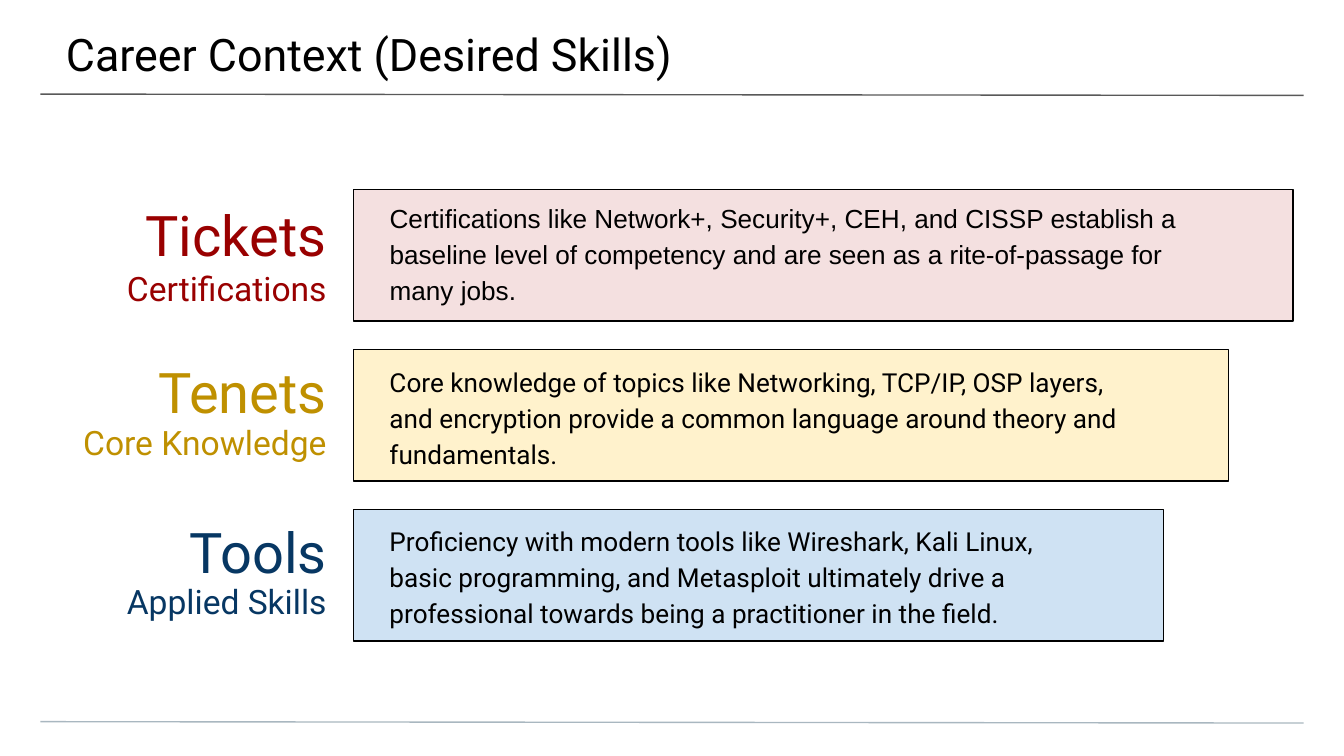
from lxml.etree import SubElement
from pptx import Presentation
from pptx.dml.color import RGBColor as RGB
from pptx.enum.shapes import MSO_CONNECTOR as Link, MSO_SHAPE as Preset
from pptx.enum.text import MSO_ANCHOR as Anchor, MSO_AUTO_SIZE as Fit, PP_ALIGN as Align
from pptx.oxml.ns import qn
from pptx.util import Pt

PX = 9144
SLIDE_WIDTH = 1000
COLORS = {
    "ink": "000000", "header_rule": "595959", "footer_rule": "A9B7C0",
    "tickets": "990000", "tickets_bar": "F4E0E0",
    "tenets": "BF9000", "tenets_bar": "FFF2CC",
    "tools": "073763", "tools_bar": "CFE2F3",
}
SKILLS = [
    dict(theme="tickets", name="Tickets", kind="Certifications", label_width=247,
         label_spacing=1.0, blurb_size=(638, 84), blurb_top=4, typeface="Arial",
         blurb="Certifications like Network+, Security+, CEH, and CISSP establish a "
               "baseline level of competency and are seen as a rite-of-passage for many jobs."),
    dict(theme="tenets", name="Tenets", kind="Core Knowledge", label_width=207,
         label_spacing=0.9, blurb_size=(586, 44), blurb_top=27, typeface="Roboto",
         blurb="Core knowledge of topics like Networking, TCP/IP, OSP layers, and encryption "
               "provide a common language around theory and fundamentals."),
    dict(theme="tools", name="Tools", kind="Applied Skills", label_width=176,
         label_spacing=0.9, blurb_size=(516, 44), blurb_top=27, typeface="Roboto",
         blurb="Proficiency with modern tools like Wireshark, Kali Linux, basic programming, and "
               "Metasploit ultimately drive a professional towards being a practitioner in the field."),
]


def emu(*lengths):
    """Turn px lengths into EMU."""
    return [length * PX for length in lengths]


def color(name):
    """Look up a named colour."""
    return RGB.from_string(COLORS[name])


def apply(target, formats):
    """Set each format value on the target."""
    for attribute, value in formats.items():
        setattr(target, attribute, value)


def style_frame(frame, anchor, insets):
    """Set wrapping, anchor and left, top, right, bottom insets."""
    left, top, right, bottom = emu(*insets)
    apply(frame, dict(word_wrap=True, auto_size=Fit.NONE, vertical_anchor=anchor,
                      margin_left=left, margin_top=top,
                      margin_right=right, margin_bottom=bottom))


def write(paragraph, words, size, ink, typeface="Roboto", align=Align.LEFT, spacing=1.0):
    """Fill one paragraph with formatted words."""
    apply(paragraph, dict(alignment=align, line_spacing=spacing))
    run = paragraph.add_run()
    run.text = words
    apply(run.font, dict(size=Pt(size), name=typeface))
    run.font.color.rgb = color(ink)


def add_copy(slide, box, lines):
    """Add a middle-anchored text box, one paragraph per line format."""
    frame = slide.shapes.add_textbox(*emu(*box)).text_frame
    style_frame(frame, Anchor.MIDDLE, (10, 5, 10, 5))
    for index, line in enumerate(lines):
        write(frame.add_paragraph() if index else frame.paragraphs[0], **line)


def add_rule(slide, top, ink):
    """Draw a thin, slightly falling rule across the slide."""
    rule = slide.shapes.add_connector(Link.STRAIGHT, *emu(30, top, 970, top + 1))
    rule.line.color.rgb = color(ink)
    rule.line.width = Pt(0.75)
    SubElement(rule.element.spPr, qn("a:effectLst"))


def add_title(slide, box, words):
    """Place the title placeholder in its box."""
    title = slide.shapes.title
    apply(title, dict(zip(("left", "top", "width", "height"), emu(*box))))
    style_frame(title.text_frame, Anchor.TOP, (50, 20, 30, 10))
    write(title.text_frame.paragraphs[0], words, 24, "ink")


def add_skill(slide, box, skill):
    """Add a skill bar in its box, with its label to the left and blurb inside."""
    left, top, width, height = box
    theme = skill["theme"]
    label_width = skill["label_width"]
    label = dict(ink=theme, align=Align.RIGHT, spacing=skill["label_spacing"])
    add_copy(slide, (left - 10 - label_width, top + 6, label_width, 84),
             [dict(words=skill["name"], size=30, **label),
              dict(words=skill["kind"], size=18, **label)])
    bar = slide.shapes.add_shape(Preset.RECTANGLE, *emu(left, top, width, height))
    bar.shadow.inherit = False
    bar.fill.solid()
    bar.fill.fore_color.rgb = color(theme + "_bar")
    bar.line.color.rgb = color("ink")
    bar.line.width = Pt(0.75)
    add_copy(slide, (left + 17, top + skill["blurb_top"], *skill["blurb_size"]),
             [dict(words=skill["blurb"], size=14, ink="ink",
                   typeface=skill["typeface"], spacing=1.15)])


def main():
    """Build and save the slide."""
    deck = Presentation()
    deck.slide_width = SLIDE_WIDTH * PX
    deck.slide_height = deck.slide_width * 9 // 16
    slide = deck.slides.add_slide(deck.slide_layouts[5])
    add_rule(slide, 70, "header_rule")
    add_rule(slide, 537, "footer_rule")
    add_title(slide, (-1, 0, 1003, 58), "Career Context (Desired Skills)")
    for index, skill in enumerate(SKILLS):
        add_skill(slide, (263, 141 + 119 * index, 699 - 48 * index, 98), skill)
    deck.save("out.pptx")


if __name__ == "__main__":
    main()
